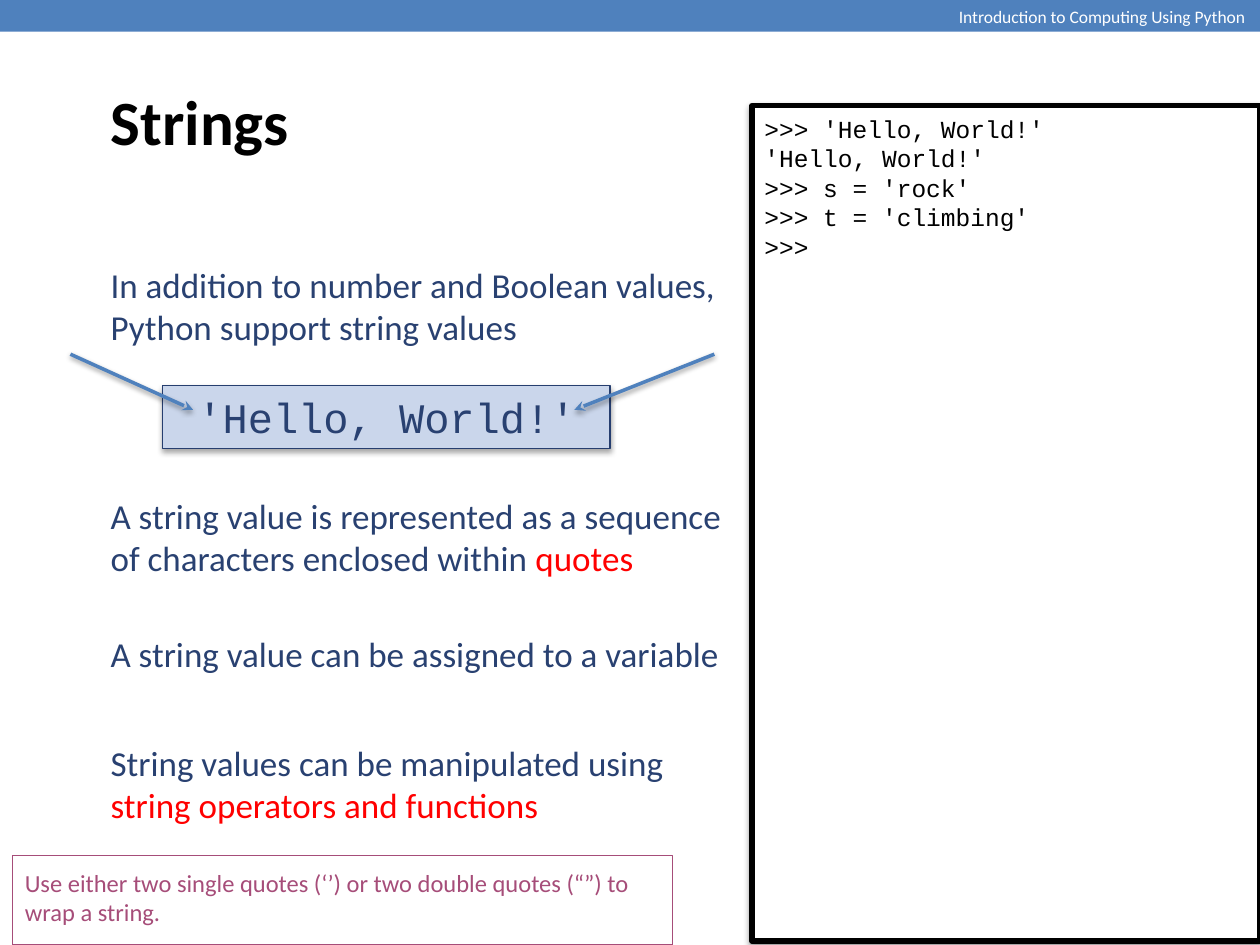
import pptx
import pptx.dml.color
import pptx.enum.shapes
import pptx.enum.text
import pptx.oxml
import pptx.oxml.ns
import pptx.util
from pptx.dml.color import RGBColor
from pptx.util import Cm, Pt

BLUE = RGBColor(0x4F, 0x81, 0xBD)
PALE_BLUE = RGBColor(0xCA, 0xD6, 0xEB)
DARK_BLUE = RGBColor(0x26, 0x3E, 0x6F)
TEXT_BLUE = RGBColor(0x29, 0x41, 0x71)
PURPLE = RGBColor(0xA6, 0x4D, 0x79)
RED = RGBColor(0xFF, 0x00, 0x00)
BLACK = RGBColor(0x00, 0x00, 0x00)
WHITE = RGBColor(0xFF, 0xFF, 0xFF)

ANCHOR = pptx.enum.text.MSO_ANCHOR
ALIGN = pptx.enum.text.PP_ALIGN
TEXT_LEFT = 1.98

TITLE = {"name": "Calibri", "size": Pt(36), "bold": True}
HEADER = {"name": "Calibri", "size": Pt(10)}
BODY = {"name": "Calibri", "size": Pt(20)}
NOTE = {"name": "Calibri", "size": Pt(14)}
CODE = {"name": "Courier New", "size": Pt(14)}
BIG_CODE = {"name": "Courier New", "size": Pt(24)}

# Top, width, height and coloured runs of each statement
STATEMENTS = [
    (5.18, 14.66, 1.96, [("In addition to number and Boolean values, "
                          "Python support string values", TEXT_BLUE)]),
    (9.42, 13.2, 2.79, [("A string value is represented as a sequence of "
                         "characters enclosed within ", TEXT_BLUE),
                        ("quotes", RED)]),
    (12.19, 13.2, 1.96, [("A string value can be assigned to a variable",
                          TEXT_BLUE)]),
    (14.4, 13.2, 2.79, [("String values can be manipulated using ", TEXT_BLUE),
                        ("string operators and functions", RED)]),
]
SESSION = [">>> 'Hello, World!'", "'Hello, World!'", ">>> s = 'rock'",
           ">>> t = 'climbing'", ">>>"]


def set_values(target, values):
    for name, value in values.items():
        setattr(target, name, value)


def write_text(shape, paragraphs, font, anchor=ANCHOR.MIDDLE,
               alignment=ALIGN.LEFT, **frame_values):
    """Write paragraphs, each a list of (text, colour) runs."""
    frame = shape.text_frame
    set_values(frame, {"word_wrap": True, "vertical_anchor": anchor,
                       "auto_size": pptx.enum.text.MSO_AUTO_SIZE.NONE,
                       **frame_values})
    for index, runs in enumerate(paragraphs):
        paragraph = frame.add_paragraph() if index else frame.paragraphs[0]
        paragraph.alignment = alignment
        for text, colour in runs:
            run = paragraph.add_run()
            run.text = text
            set_values(run.font, font)
            run.font.color.rgb = colour


def add_shadow(shape, opacity):
    """Add a soft shadow that falls straight down."""
    properties = shape._element.spPr
    for old in properties.findall(pptx.oxml.ns.qn("a:effectLst")):
        properties.remove(old)
    properties.append(pptx.oxml.parse_xml(
        f'<a:effectLst {pptx.oxml.ns.nsdecls("a")}>'
        f'<a:outerShdw blurRad="{Pt(3.1)}" dist="{Pt(1.7)}" dir="5400000" '
        'rotWithShape="0"><a:srgbClr val="000000">'
        f'<a:alpha val="{opacity * 1000}"/></a:srgbClr>'
        '</a:outerShdw></a:effectLst>'))


def add_box(slide, left, top, width, height, fill=None, line=None,
            line_width=0.75, shadow=None):
    shape = slide.shapes.add_shape(
        pptx.enum.shapes.MSO_SHAPE.RECTANGLE,
        Cm(left), Cm(top), Cm(width), Cm(height))
    shape.shadow.inherit = False
    if fill is None:
        shape.fill.background()
    else:
        shape.fill.solid()
        shape.fill.fore_color.rgb = fill
    if line is None:
        shape.line.fill.background()
    else:
        shape.line.color.rgb = line
        shape.line.width = Pt(line_width)
    if shadow:
        add_shadow(shape, shadow)
    return shape


def add_label(slide, left, top, width, height, runs, font, **options):
    label = slide.shapes.add_textbox(Cm(left), Cm(top), Cm(width), Cm(height))
    write_text(label, [runs], font, **options)


def add_arrow(slide, *ends):
    arrow = slide.shapes.add_connector(
        pptx.enum.shapes.MSO_CONNECTOR.STRAIGHT, *map(Cm, ends))
    arrow.line.color.rgb = BLUE
    arrow.line.width = Pt(2)
    arrow.line._get_or_add_ln().append(pptx.oxml.parse_xml(
        f'<a:tailEnd {pptx.oxml.ns.nsdecls("a")} type="stealth"/>'))
    add_shadow(arrow, 38)


def add_title(slide, text):
    title = slide.shapes.title
    set_values(title, {"left": Cm(TEXT_LEFT), "top": Cm(0),
                       "width": Cm(21.59), "height": Cm(4.09)})
    write_text(title, [[(text, BLACK)]], TITLE, margin_top=Cm(0.9))


def main():
    presentation = pptx.Presentation()
    presentation.slide_width = Cm(25.4)
    presentation.slide_height = Cm(19.05)
    slide = presentation.slides.add_slide(presentation.slide_layouts[5])

    # Header bar and title
    add_box(slide, 0, 0, 25.4, 0.64, fill=BLUE)
    add_label(slide, 19.08, 0, 6.32, 1.09,
              [("Introduction to Computing Using Python", WHITE)], HEADER,
              anchor=ANCHOR.TOP)
    add_title(slide, "Strings")

    # Statements
    for top, width, height, runs in STATEMENTS:
        add_label(slide, TEXT_LEFT, top, width, height, runs, BODY)

    # Example string with arrows to its quotes
    example = add_box(slide, 3.28, 7.77, 9.02, 1.27, PALE_BLUE, DARK_BLUE,
                      shadow=35)
    write_text(example, [[("'Hello, World!'", TEXT_BLUE)]], BIG_CODE,
               alignment=ALIGN.CENTER)
    for start, end in [(14.4, 11.58), (1.42, 3.89)]:
        add_arrow(slide, start, 7.14, end, 8.26)

    # Interpreter session
    session = add_box(slide, 15.16, 2.13, 10.24, 16.84, WHITE, BLACK, 3, 38)
    write_text(session, [[(line, BLACK)] for line in SESSION], CODE,
               anchor=ANCHOR.TOP, margin_top=Cm(0.17))

    # Note on quotes
    note = add_box(slide, 0.25, 17.25, 13.31, 1.8, line=PURPLE)
    write_text(note, [[("Use either two single quotes (‘’) or two double "
                        "quotes (“”) to wrap a string.", PURPLE)]], NOTE,
               anchor=ANCHOR.TOP, margin_top=Cm(0.25), margin_bottom=Cm(0.25))

    presentation.save("out.pptx")


if __name__ == "__main__":
    main()
